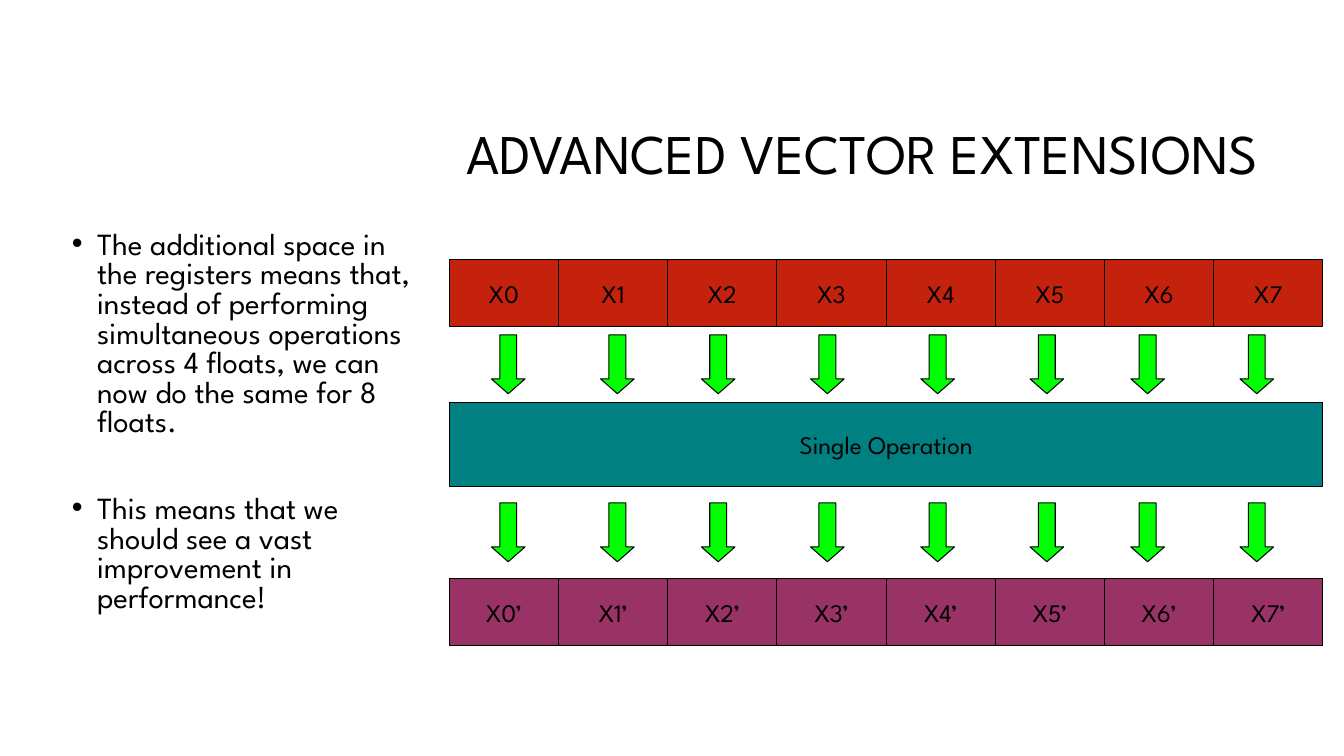
from dataclasses import dataclass
from lxml.etree import SubElement
from pptx import Presentation
from pptx.dml.color import RGBColor as RGB
from pptx.enum.shapes import MSO_SHAPE as Kind
from pptx.enum.text import MSO_ANCHOR as Anchor, MSO_AUTO_SIZE as Fit, PP_ALIGN as Align
from pptx.oxml.ns import qn
from pptx.util import Pt

PX = 9525  # 96 px to the inch


@dataclass(frozen=True)
class Theme:
    face: str = "League Spartan"
    ink: RGB = RGB(0, 0, 0)
    red: RGB = RGB(0xC4, 0x22, 0x0D)
    teal: RGB = RGB(0, 0x80, 0x80)
    plum: RGB = RGB(0x99, 0x33, 0x66)
    green: RGB = RGB(0, 0xFF, 0)
    head: int = 40
    body: int = 22
    label: int = 18


theme = Theme()


def style(para, size, align):
    para.alignment = align
    for run in para.runs:
        run.font.name = theme.face
        run.font.size = Pt(size)
        run.font.color.rgb = theme.ink


def block(kind, x, y, w, h, fill, text=""):
    """Add an outlined shape, with a centred label if text is given."""
    shape = slide.shapes.add_shape(kind, x * PX, y * PX, w * PX, h * PX)
    shape.shadow.inherit = False
    shape.fill.solid()
    shape.fill.fore_color.rgb = fill
    shape.line.color.rgb = theme.ink
    shape.line.width = Pt(0.75)
    if text:
        frame = shape.text_frame
        frame.text = text
        frame.word_wrap = False
        frame.vertical_anchor = Anchor.MIDDLE
        style(frame.paragraphs[0], theme.label, Align.CENTER)
    return shape


deck = Presentation()
deck.slide_width, deck.slide_height = 1280 * PX, 720 * PX
slide = deck.slides.add_slide(deck.slide_layouts[5])

# Title
title = slide.shapes.title
title.left, title.top, title.width, title.height = 95 * PX, 81 * PX, 1113 * PX, 135 * PX
frame = title.text_frame
frame.text = "ADVANCED VECTOR EXTENSIONS"
frame.auto_size = Fit.NONE
frame.vertical_anchor = Anchor.MIDDLE
frame.paragraphs[0].line_spacing = 0.9
style(frame.paragraphs[0], theme.head, Align.RIGHT)

# Bullets
points = (
    "The additional space in the registers means that, instead of performing "
    "simultaneous operations across 4 floats, we can now do the same for 8 floats.",
    "This means that we should see a vast improvement in performance!",
)
frame = slide.shapes.add_textbox(59 * PX, 216 * PX, 346 * PX, 457 * PX).text_frame
frame.word_wrap = True
for i, point in enumerate(points):
    para = frame.add_paragraph() if i else frame.paragraphs[0]
    para.text = point
    props = para._p.get_or_add_pPr()
    props.set("marL", str(24 * PX))
    props.set("indent", str(-24 * PX))
    SubElement(props, qn("a:buFont")).set("typeface", "Arial")
    SubElement(props, qn("a:buChar")).set("char", "•")
    para.line_spacing = 0.8
    if i:
        para.space_before = Pt(41)
    style(para, theme.body, Align.LEFT)

# Registers, eight floats wide
left, count, cell = 428, 8, 104
for y, fill, mark in ((247, theme.red, ""), (551, theme.plum, "’")):
    for i in range(count):
        block(Kind.RECTANGLE, left + i * cell, y, cell, 64, fill, f"X{i}{mark}")

block(Kind.RECTANGLE, left, 383, count * cell, 80, theme.teal, "Single Operation")

# Arrows stand in pairs, two pairs to each half
for y in (319, 479):
    for i in range(count):
        x = 468 + i // 4 * 409 + i % 4 // 2 * 200 + i % 2 * cell
        arrow = block(Kind.DOWN_ARROW, x, y, 32, 56, theme.green)
        arrow.adjustments[0] = 0.5
        arrow.adjustments[1] = 0.44

deck.save("out.pptx")
